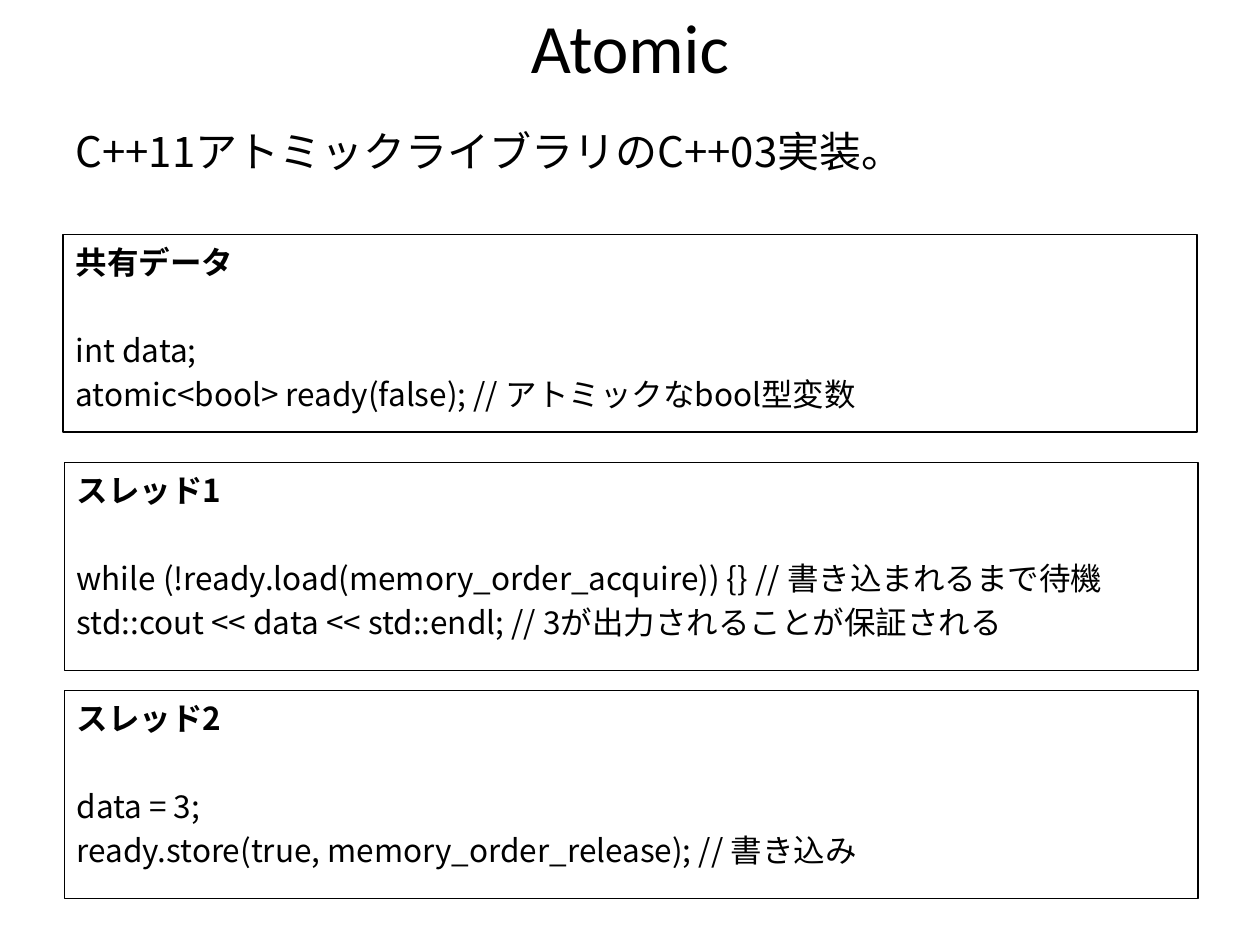
"""Build a slide on the C++03 implementation of the C++11 atomic library."""
from lxml import etree
from pptx import Presentation
from pptx.dml.color import RGBColor
from pptx.enum.shapes import MSO_SHAPE
from pptx.enum.text import MSO_ANCHOR, MSO_AUTO_SIZE, PP_ALIGN
from pptx.oxml.ns import qn
from pptx.util import Inches, Pt

RECTANGLE = MSO_SHAPE.RECTANGLE
TOP, MIDDLE = MSO_ANCHOR.TOP, MSO_ANCHOR.MIDDLE
LEFT, CENTER = PP_ALIGN.LEFT, PP_ALIGN.CENTER
NO_AUTOFIT = MSO_AUTO_SIZE.NONE

COLORS = {"ink": "000000", "paper": "FFFFFF"}
TITLE_FONT, BODY_FONT = "Calibri", "Noto Sans CJK JP"
SLIDE_W, SLIDE_H = 10, 7.5
MARGIN = 0.05 * SLIDE_W
CONTENT_W = SLIDE_W - 2 * MARGIN
HANGING = 0.38
LINE_RATIO = 1.29
LINE_GAP = 1.9
CODE_SIZE = 18
THREAD_TOP, THREAD_H, THREAD_STEP = 3.67, 1.65, 1.81

SHARED = ("共有データ", ["int data;", "atomic<bool> ready(false); // アトミックなbool型変数"])
THREADS = [
    ("スレッド1", ["while (!ready.load(memory_order_acquire)) {} // 書き込まれるまで待機",
               "std::cout << data << std::endl; // 3が出力されることが保証される"]),
    ("スレッド2", ["data = 3;", "ready.store(true, memory_order_release); // 書き込み"]),
]


def color(name):
    """Return a palette colour."""
    return RGBColor.from_string(COLORS[name])


def place(shape, left, top, width, height):
    """Move and size a shape in inches."""
    shape.left, shape.top = Inches(left), Inches(top)
    shape.width, shape.height = Inches(width), Inches(height)


def prepare_frame(shape, anchor):
    """Return the shape's wrapping text frame with fixed size."""
    frame = shape.text_frame
    frame.word_wrap = True
    frame.auto_size = NO_AUTOFIT
    frame.vertical_anchor = anchor
    return frame


def add_text(paragraph, text, size, font, bold=False):
    """Add one formatted run to a paragraph."""
    run = paragraph.add_run()
    run.text = text
    run.font.size = Pt(size)
    run.font.name = font
    run.font.bold = bold
    run.font.color.rgb = color("ink")
    east_asian = etree.SubElement(run.font._element, qn("a:ea"))
    east_asian.set("typeface", font)


def add_line(paragraph, text, size, bold=False, before=0):
    """Write a left-aligned line with a hanging indent and no bullet."""
    paragraph.alignment = LEFT
    paragraph.line_spacing = Pt(round(size * LINE_RATIO, 1))
    paragraph.space_before = Pt(before)
    properties = paragraph._p.get_or_add_pPr()
    properties.set("marL", str(Inches(HANGING)))
    properties.set("indent", str(-Inches(HANGING)))
    etree.SubElement(properties, qn("a:buNone"))
    add_text(paragraph, text, size, BODY_FONT, bold)


def fill_panel(panel, heading, code):
    """Outline a panel and write its heading and code lines."""
    panel.fill.background()
    panel.line.color.rgb = color("ink")
    panel.line.width = Pt(0.75)
    frame = prepare_frame(panel, TOP)
    add_line(frame.paragraphs[0], heading, CODE_SIZE, bold=True)
    skipped_line = CODE_SIZE * LINE_RATIO + LINE_GAP
    for row, text in enumerate(code):
        before = LINE_GAP if row else LINE_GAP + skipped_line
        add_line(frame.add_paragraph(), text, CODE_SIZE, before=round(before, 1))


def add_thread(slide, row, heading, code):
    """Add the panel of one thread."""
    panel = slide.shapes.add_shape(RECTANGLE, 0, 0, 0, 0)
    place(panel, MARGIN + 0.01, THREAD_TOP + row * THREAD_STEP, CONTENT_W, THREAD_H)
    panel.shadow.inherit = False
    fill_panel(panel, heading, code)


def add_title(slide, text):
    """Write the centred slide title."""
    title = slide.shapes.title
    place(title, MARGIN, 0, CONTENT_W, 0.72)
    paragraph = prepare_frame(title, MIDDLE).paragraphs[0]
    paragraph.alignment = CENTER
    add_text(paragraph, text, 39.6, TITLE_FONT)


def add_summary(slide, text):
    """Add the sentence below the title."""
    summary = slide.shapes.add_textbox(0, 0, 0, 0)
    place(summary, MARGIN, 0.92, CONTENT_W, 0.87)
    add_line(prepare_frame(summary, TOP).paragraphs[0], text, 24)


def main():
    """Build and save the slide."""
    deck = Presentation()
    deck.slide_width, deck.slide_height = Inches(SLIDE_W), Inches(SLIDE_H)
    slide = deck.slides.add_slide(deck.slide_layouts[1])
    slide.background.fill.solid()
    slide.background.fill.fore_color.rgb = color("paper")
    add_title(slide, "Atomic")
    shared = slide.placeholders[1]
    place(shared, MARGIN, 1.86, CONTENT_W, 1.57)
    fill_panel(shared, *SHARED)
    add_summary(slide, "C++11アトミックライブラリのC++03実装。")
    for row, (heading, code) in enumerate(THREADS):
        add_thread(slide, row, heading, code)
    deck.save("out.pptx")


main()
